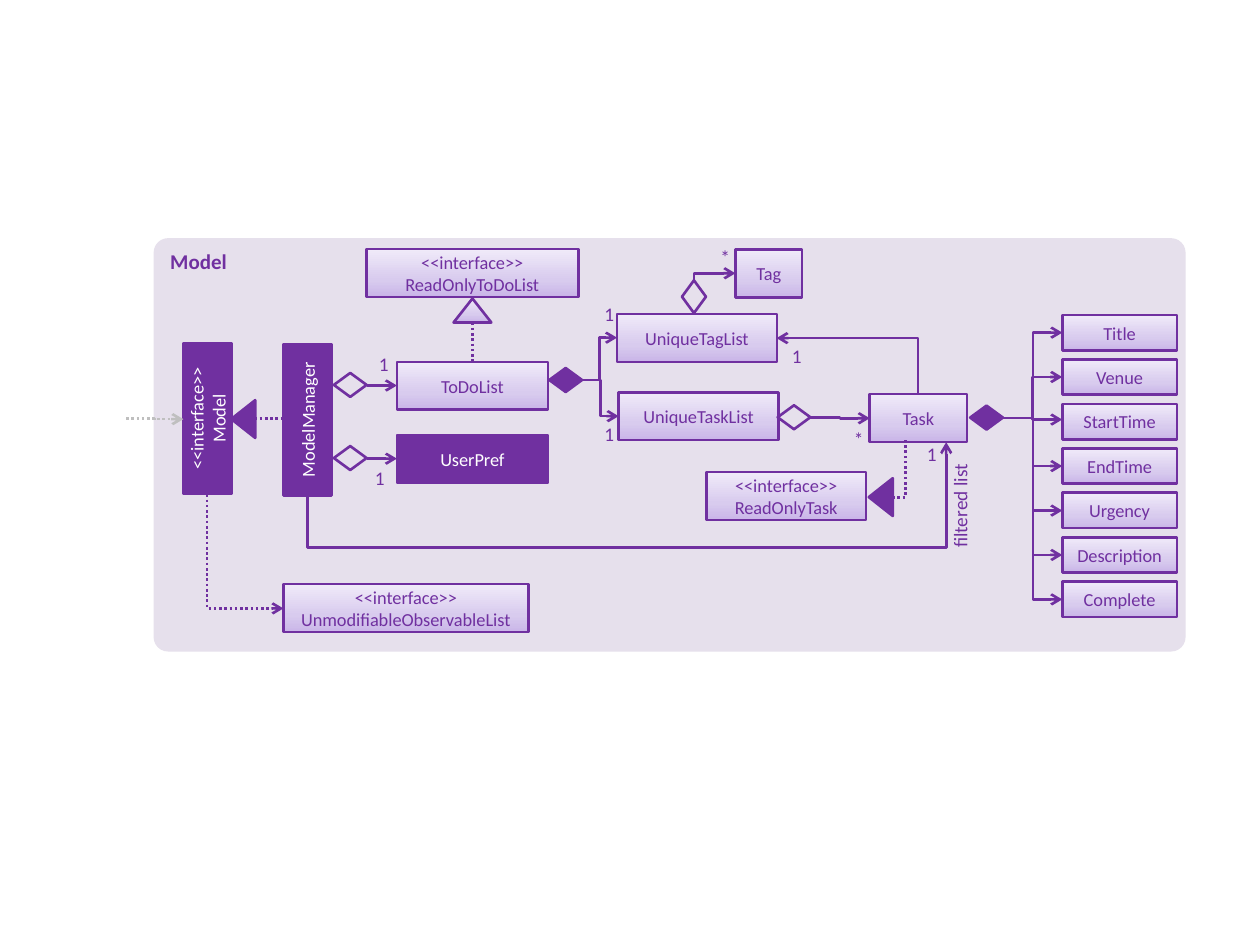
from copy import deepcopy

from pptx import Presentation
from pptx import util as u
from pptx.dml.color import RGBColor
from pptx.enum import dml, shapes, text
from pptx.oxml.ns import qn
from pptx.oxml.xmlchemy import OxmlElement

PURPLE, WHITE, PANEL, GREY = "7030A0", "FFFFFF", "E6E0EC", "BFBFBF"
GRADIENT = ((0, "C9B5E8"), (0.35, "D8CBEE"), (1, "F0EAF9"))
KIND = shapes.MSO_SHAPE
CENTER, RIGHT = text.PP_ALIGN.CENTER, text.PP_ALIGN.RIGHT
BOX_H = 27.4
PROP_X, PROP_Y, PROP_W, PROP_H, PROP_STEP = 607, 180, 65.5, 20.2, 25.4
TRUNK_X, TRUNK_REACH = 590.2, 47.6

LIGHT_BOXES = (
    ("ToDoList", 226.8, 206.8, 86.4),
    ("UniqueTaskList", 353.5, 224.1, 91.4),
    ("UniqueTagList", 352.6, 179.4, 91.4),
    ("Task", 497, 225.2, 55.6),
    ("Tag", 420.2, 142.6, 38.2),
    ("<<interface>>\vReadOnlyTask", 403.6, 269.8, 91.4),
    ("<<interface>>\vReadOnlyToDoList", 209.3, 142.3, 121.2),
    ("<<interface>>\vUnmodifiableObservableList", 162, 333.8, 139.9),
)
PROPERTIES = ("Title", "Venue", "StartTime", "EndTime", "Urgency",
              "Description", "Complete")
DIAMONDS = (
    (190.8, 254.9, 0, None),
    (190.8, 213.1, 0, None),
    (444.4, 231.6, 0, None),
    (387.2, 162.7, 270, None),
    (313.9, 210.3, 0, PURPLE),
    (554.4, 231.8, 0, PURPLE),
)
TRIANGLES = (
    (128.2, 232.6, 270, PURPLE),
    (492.5, 277.2, 270, PURPLE),
    (259.2, 170.6, 0, GRADIENT),
)
STRAIGHT = (
    ((209.5, 262.1), (226.8, 262.1), {}),
    ((209.5, 220.3), (226.8, 220.3), {}),
    ((145.4, 239.2), (162.7, 239.2), {"dotted": True, "arrow": False}),
    ((269.9, 184.3), (269.9, 207.2), {"dotted": True, "arrow": False}),
)
ELBOWS = (
    ((72, 239.2), (104.8, 239.5), 3, {"color": GREY, "dotted": True}),
    ((332.6, 217.2), (353.5, 237.8), 3, {}),
    ((332.6, 217.2), (352.6, 193), 3, {}),
    ((463, 238.5), (497, 239), 3, {}),
    ((573.1, 238.9), (607, 215.5), 3, {}),
    ((573.1, 238.9), (607, 239.8), 3, {}),
    ((509.8, 284.2), (517.5, 251.3), 2, {"dotted": True, "arrow": False}),
    ((396.6, 160.6), (420.2, 156.2), 2, {"upright": True}),
    ((118.3, 282.5), (162, 347.7), 2, {"upright": True, "dotted": True}),
    ((524.7, 225.2), (443.8, 193.2), 2, {"upright": True}),
    ((175.7, 282.5), (540.7, 252.7), 4,
     {"upright": True, "adj": (-1.02, 1)}),
)
COUNTS = (
    ("1", 340.6, 172.8), ("1", 340.6, 241.2), ("1", 447.8, 196.6),
    ("*", 406.8, 140.4), ("*", 483.1, 244.1), ("1", 211.7, 201.6),
    ("1", 209.5, 266.4), ("1", 524.9, 252.7),
)


def rgb(value):
    return RGBColor.from_string(value)


def points(*values):
    return [u.Pt(v) for v in values]


def paint(sp, fill):
    if fill is None:
        sp.fill.background()
    elif isinstance(fill, str):
        sp.fill.solid()
        sp.fill.fore_color.rgb = rgb(fill)
    else:
        sp.fill.gradient()
        sp.fill.gradient_angle = 90
        stops = sp._element.spPr.find(qn("a:gradFill")).find(qn("a:gsLst"))
        stops.append(deepcopy(stops[0]))
        for stop, (position, color) in zip(sp.fill.gradient_stops, fill):
            stop.position = position
            stop.color.rgb = rgb(color)


def write(sp, content, color=PURPLE, size=10.5, align=CENTER, bold=False, **frame):
    tf = sp.text_frame
    tf.text = content
    for name, value in {"word_wrap": True, **frame}.items():
        setattr(tf, name, value)
    for p in tf.paragraphs:
        p.alignment = align
        for r in p.runs:
            r.font.color.rgb = rgb(color)
            for name, value in {"name": "Calibri", "size": u.Pt(size),
                                "bold": bold}.items():
                setattr(r.font, name, value)


def add_figure(slide, kind, at, fill, rotation=0, line=PURPLE):
    sp = slide.shapes.add_shape(kind, *points(*at))
    sp.shadow.inherit = False
    sp.rotation = rotation
    paint(sp, fill)
    if line:
        sp.line.color.rgb = rgb(line)
        sp.line.width = u.Pt(1.5)
    else:
        sp.line.fill.background()
    return sp


def add_box(slide, label, at, fill=GRADIENT, color=PURPLE, rotation=0):
    sp = add_figure(slide, KIND.RECTANGLE, at, fill, rotation)
    write(sp, label, color, vertical_anchor=text.MSO_ANCHOR.MIDDLE)


def add_label(slide, content, at, align=CENTER, rotation=0, **frame):
    sp = slide.shapes.add_textbox(*points(*at))
    sp.rotation = rotation
    write(sp, content, size=11, align=align, **frame)


def add_line(slide, start, end, bends=0, color=PURPLE, dotted=False,
             arrow=True, upright=False, adj=()):
    kind = shapes.MSO_CONNECTOR.ELBOW if bends else shapes.MSO_CONNECTOR.STRAIGHT
    if upright:
        dx, dy = end[0] - start[0], end[1] - start[1]
        cx, cy = start[0] + dx / 2, start[1] + dy / 2
        start, end = (cx - dy / 2, cy + dx / 2), (cx + dy / 2, cy - dx / 2)
    sp = slide.shapes.add_connector(kind, *points(*start, *end))
    pr = sp._element.spPr
    if upright:
        pr.find(qn("a:xfrm")).set("rot", str(90 * 60000))
    if bends:
        geom = pr.find(qn("a:prstGeom"))
        geom.set("prst", f"bentConnector{bends}")
        guides = geom.find(qn("a:avLst"))
        for i, value in enumerate(adj, 1):
            guide = OxmlElement("a:gd")
            guide.set("name", f"adj{i}")
            guide.set("fmla", f"val {round(value * 100000)}")
            guides.append(guide)
    sp.line.color.rgb = rgb(color)
    sp.line.width = u.Pt(1.5)
    if dotted:
        sp.line.dash_style = dml.MSO_LINE.ROUND_DOT
    if arrow:
        head = OxmlElement("a:tailEnd")
        head.set("type", "arrow")
        pr.find(qn("a:ln")).append(head)
    pr.append(OxmlElement("a:effectLst"))


def add_properties(slide):
    for i, name in enumerate(PROPERTIES):
        top = PROP_Y + i * PROP_STEP
        middle = top + PROP_H / 2
        add_box(slide, name, (PROP_X, top, PROP_W, PROP_H))
        if name not in ("Venue", "StartTime"):
            reach = TRUNK_REACH if i == 0 else -TRUNK_REACH
            add_line(slide, (TRUNK_X, middle + reach), (PROP_X, middle), 2,
                     upright=True)


def main():
    prs = Presentation()
    prs.slide_width, prs.slide_height = points(720, 540)
    slide = prs.slides.add_slide(prs.slide_layouts[6])

    panel = add_figure(slide, KIND.ROUNDED_RECTANGLE,
                       (87.8, 136.1, 589.7, 236.2), PANEL, line=None)
    panel.adjustments[0] = 0.035
    write(panel, "Model", size=12, align=text.PP_ALIGN.LEFT, bold=True,
          vertical_anchor=text.MSO_ANCHOR.TOP)

    for label, x, y, rotation in (("UserPref", 226.8, 248.6, 0),
                                  ("ModelManager", 132.5, 226.1, 270),
                                  ("<<interface>>\nModel", 75.3, 225.4, 270)):
        add_box(slide, label, (x, y, 86.4, BOX_H), PURPLE, WHITE, rotation)
    for label, x, y, w in LIGHT_BOXES:
        add_box(slide, label, (x, y, w, BOX_H))
    add_properties(slide)

    for x, y, rotation, fill in DIAMONDS:
        add_figure(slide, KIND.FLOWCHART_DECISION, (x, y, 18.7, 13.7), fill, rotation)
    for x, y, rotation, fill in TRIANGLES:
        add_figure(slide, KIND.ISOSCELES_TRIANGLE, (x, y, 21.6, 13.7), fill, rotation)
    for start, end, style in STRAIGHT:
        add_line(slide, start, end, **style)
    for start, end, bends, style in ELBOWS:
        add_line(slide, start, end, bends, **style)

    add_label(slide, "filtered list", (514.1, 282.2, 69.1, 20.9), RIGHT, 270)
    flush = {f"margin_{side}": 0 for side in ("left", "top", "right", "bottom")}
    for content, x, y in COUNTS:
        add_label(slide, content, (x, y, 15.1, 14.4), **flush)

    prs.save("out.pptx")


main()
